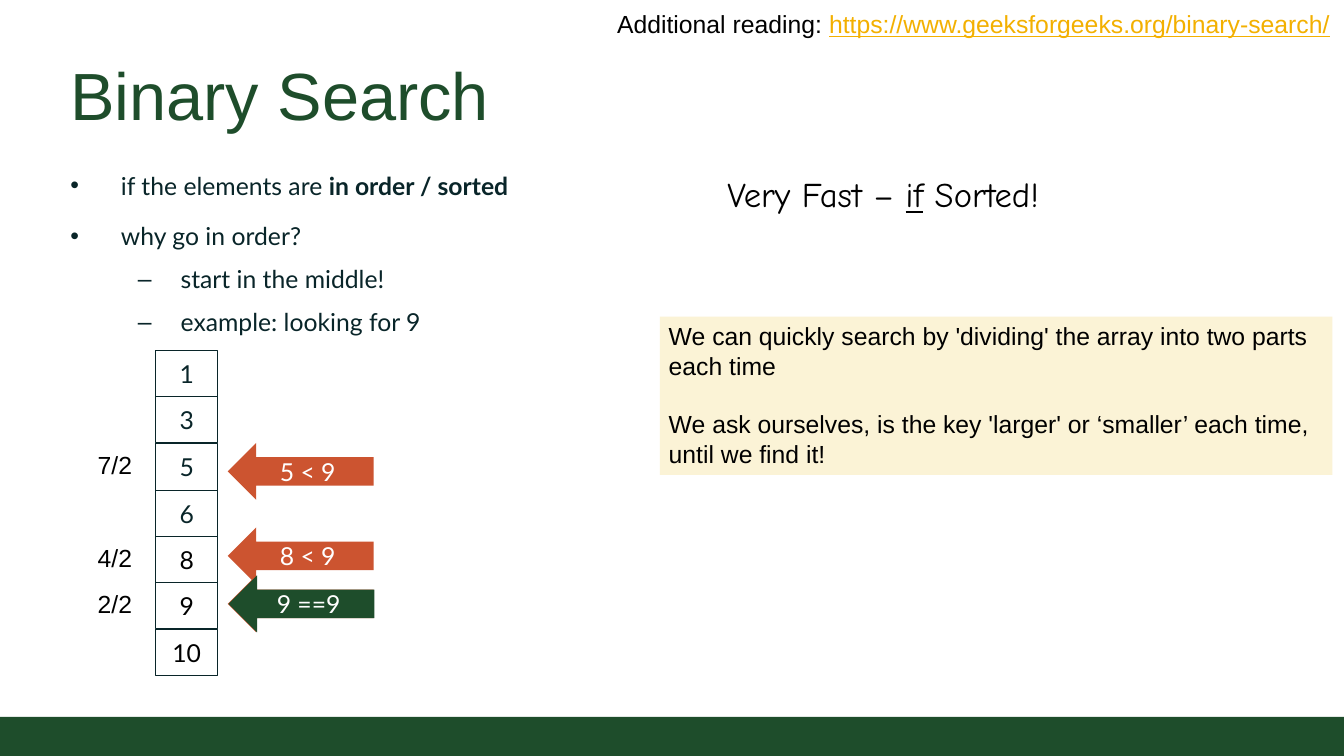
"""Build the Binary Search slide."""
from lxml import etree
from pptx import Presentation
from pptx.dml.color import RGBColor
from pptx.enum.shapes import MSO_SHAPE
from pptx.enum.text import MSO_ANCHOR, MSO_AUTO_SIZE, PP_ALIGN
from pptx.oxml.ns import qn
from pptx.util import Pt

PX = 9144
RECTANGLE, LEFT_ARROW = MSO_SHAPE.RECTANGLE, MSO_SHAPE.LEFT_ARROW
TOP, MIDDLE, BOTTOM = MSO_ANCHOR.TOP, MSO_ANCHOR.MIDDLE, MSO_ANCHOR.BOTTOM
LEFT, CENTER = PP_ALIGN.LEFT, PP_ALIGN.CENTER
NO_AUTOFIT = MSO_AUTO_SIZE.NONE

COLORS = {"green": "1E4D2B", "ink": "092529", "orange": "CC5430", "cream": "FBF3D6",
          "gold": "F3B000", "black": "000000", "white": "FFFFFF"}

TITLE = "Binary Search"
BULLETS = [
    (0, [("if the elements are ", ""), ("in order / sorted", "bold")]),
    (0, [("why go in order?", "")]),
    (1, [("start in the middle!", "")]),
    (1, [("example: looking for 9", "")]),
]
BULLET_LEVELS = [("•", 57, -57, 6), ("–", 124, -48, 0)]
ARRAY = [("1", "ink"), ("3", "ink"), ("5", "ink"), ("6", "ink"),
         ("8", "black"), ("9", "black"), ("10", "black")]
MIDPOINTS = [(2, "7/2"), (4, "4/2"), (5, "2/2")]
ARROWS = [("5 < 9", 256, 498, "orange"), ("8 < 9", 256, 593, "orange"),
          ("", 256, 647, "orange"), ("9 ==9", 257, 647, "green")]
HEADLINE = [("Very Fast – ", ""), ("if", "underline"), (" Sorted!", "")]
READING = [("Additional reading: ", ""),
           ("https://www.geeksforgeeks.org/binary-search/", "link")]
NOTES = [
    [("We can quickly search by 'dividing' the array into two parts each time", "")],
    [("We ask ourselves, is the key 'larger' or ‘smaller’ each time, until we find it!", "")],
]

ARRAY_LEFT, ARRAY_TOP, ARRAY_WIDTH, ARRAY_HEIGHT = 175, 394, 70, 366


def rgb(name):
    return RGBColor.from_string(COLORS[name])


def place(shape, box):
    shape.left, shape.top, shape.width, shape.height = [value * PX for value in box]


def set_frame(shape, insets, anchor=TOP, wrap=True):
    frame = shape.text_frame
    frame.auto_size = NO_AUTOFIT
    frame.word_wrap = wrap
    frame.vertical_anchor = anchor
    horizontal, vertical = insets
    frame.margin_left = frame.margin_right = horizontal * PX
    frame.margin_top = frame.margin_bottom = vertical * PX
    return frame


def write(paragraph, runs, size, font, color, align=LEFT):
    paragraph.alignment = align
    paragraph.font.size = Pt(size)
    paragraph.font.name = font
    paragraph.font.color.rgb = rgb(color)
    for text, style in runs:
        run = paragraph.add_run()
        run.text = text
        if style == "bold":
            run.font.bold = True
        if style in ("underline", "link"):
            run.font.underline = True
        if style == "link":
            run.font.color.rgb = rgb("gold")


def add_box(slide, kind, box, fill=None, line=None):
    shape = slide.shapes.add_shape(kind, *[value * PX for value in box])
    shape.shadow.inherit = False
    if fill:
        shape.fill.solid()
        shape.fill.fore_color.rgb = rgb(fill)
    else:
        shape.fill.background()
    if line:
        shape.line.color.rgb = rgb(line)
        shape.line.width = Pt(0.75)
    else:
        shape.line.fill.background()
    return shape


def add_text(slide, box, runs, size=20, font="Arial", wrap=False):
    shape = slide.shapes.add_textbox(*[value * PX for value in box])
    frame = set_frame(shape, (10, 5), wrap=wrap)
    write(frame.paragraphs[0], runs, size, font, "black")


def add_bullets(body):
    place(body, (69, 175, 1374, 211))
    frame = set_frame(body, (10, 10))
    for index, (level, runs) in enumerate(BULLETS):
        paragraph = frame.add_paragraph() if index else frame.paragraphs[0]
        mark, margin, indent, before = BULLET_LEVELS[level]
        paragraph.level = level
        properties = paragraph._p.get_or_add_pPr()
        properties.set("marL", str(margin * PX))
        properties.set("indent", str(indent * PX))
        etree.SubElement(properties, qn("a:buFont")).set("typeface", "Arial")
        etree.SubElement(properties, qn("a:buChar")).set("char", mark)
        paragraph.line_spacing = 1.2
        paragraph.space_before = Pt(before if index else 0)
        paragraph.space_after = Pt(6)
        write(paragraph, runs, 20, "Lato", "ink")


def add_array(slide):
    pitch = ARRAY_HEIGHT / len(ARRAY)
    tops = [round(ARRAY_TOP + row * pitch) for row in range(len(ARRAY))]
    for top, (value, color) in zip(tops, ARRAY):
        cell = add_box(slide, RECTANGLE, (ARRAY_LEFT, top, ARRAY_WIDTH, round(pitch)), line="ink")
        frame = set_frame(cell, (0, 0), MIDDLE)
        write(frame.paragraphs[0], [(value, "")], 20, "Lato", color, CENTER)
    for text, left, top, fill in ARROWS:
        arrow = add_box(slide, LEFT_ARROW, (left, top, 164, 64), fill)
        if text:
            frame = set_frame(arrow, (30, 20), MIDDLE)
            write(frame.paragraphs[0], [(text, "")], 20, "Lato", "white", CENTER)
    for row, text in MIDPOINTS:
        add_text(slide, (100, tops[row] + 2, 59, 44), [(text, "")])


def add_notes_box(slide):
    frame = set_frame(add_box(slide, RECTANGLE, (742, 356, 756, 178), "cream"), (10, 5))
    for index, runs in enumerate(NOTES):
        paragraph = frame.add_paragraph() if index else frame.paragraphs[0]
        paragraph.space_before = Pt(23 if index else 0)
        write(paragraph, runs, 20, "Arial", "black")


def main():
    presentation = Presentation()
    presentation.slide_width, presentation.slide_height = 1511 * PX, 850 * PX
    slide = presentation.slides.add_slide(presentation.slide_layouts[1])
    add_box(slide, RECTANGLE, (0, 806, 1511, 44), "green")
    title = slide.shapes.title
    place(title, (69, 49, 1374, 111))
    frame = set_frame(title, (10, 10), BOTTOM)
    write(frame.paragraphs[0], [(TITLE, "")], 54, "Arial", "green")
    add_bullets(slide.placeholders[1])
    add_array(slide)
    add_text(slide, (808, 190, 448, 57), HEADLINE, 28, "Comic Neue", wrap=True)
    add_text(slide, (684, 5, 827, 44), READING)
    add_notes_box(slide)
    presentation.save("out.pptx")


if __name__ == "__main__":
    main()
